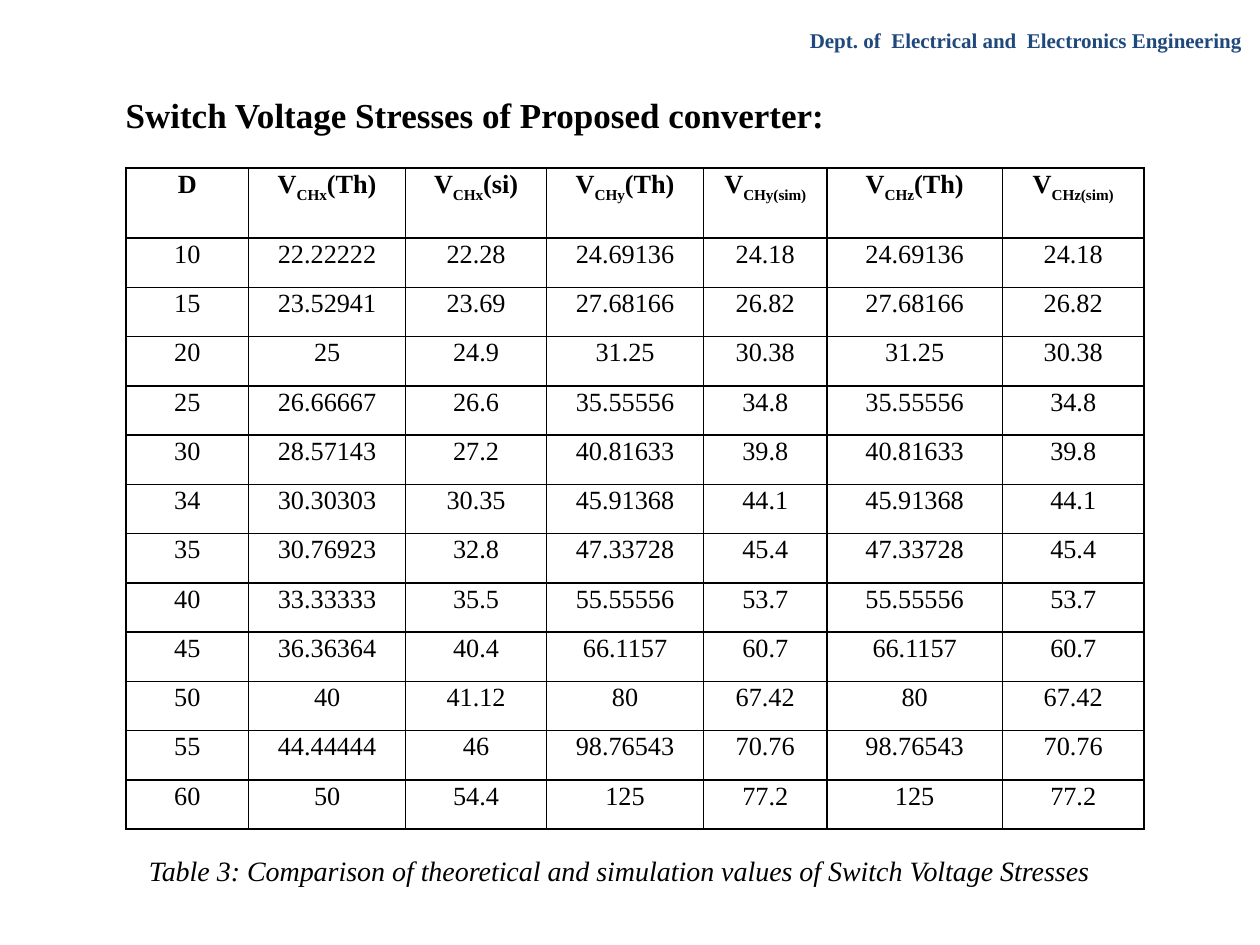
from dataclasses import dataclass

from lxml.etree import fromstring
from pptx import Presentation
from pptx.dml.color import RGBColor
from pptx.enum.text import MSO_ANCHOR, MSO_AUTO_SIZE, PP_ALIGN
from pptx.oxml.ns import nsdecls
from pptx.util import Pt

FONT = "Times New Roman"
BLACK = "000000"
NAVY = "1F497D"


@dataclass(frozen=True)
class Box:
    left: float
    top: float
    width: float
    height: float

    def lengths(self) -> tuple:
        return Pt(self.left), Pt(self.top), Pt(self.width), Pt(self.height)


@dataclass(frozen=True)
class Heading:
    base: str
    sub: str = ""
    tail: str = ""


HEADINGS = [
    Heading("D"),
    Heading("V", "CHx", "(Th)"),
    Heading("V", "CHx", "(si)"),
    Heading("V", "CHy", "(Th)"),
    Heading("V", "CHy(sim)"),
    Heading("V", "CHz", "(Th)"),
    Heading("V", "CHz(sim)"),
]
STRESSES = [
    ("10", "22.22222", "22.28", "24.69136", "24.18"),
    ("15", "23.52941", "23.69", "27.68166", "26.82"),
    ("20", "25", "24.9", "31.25", "30.38"),
    ("25", "26.66667", "26.6", "35.55556", "34.8"),
    ("30", "28.57143", "27.2", "40.81633", "39.8"),
    ("34", "30.30303", "30.35", "45.91368", "44.1"),
    ("35", "30.76923", "32.8", "47.33728", "45.4"),
    ("40", "33.33333", "35.5", "55.55556", "53.7"),
    ("45", "36.36364", "40.4", "66.1157", "60.7"),
    ("50", "40", "41.12", "80", "67.42"),
    ("55", "44.44444", "46", "98.76543", "70.76"),
    ("60", "50", "54.4", "125", "77.2"),
]
COL_WIDTHS = [70.1, 89.7, 80.6, 89.7, 70.5, 100.3, 80.9]
HEADER_HEIGHT = 40
ROW_HEIGHT = 28.15


def rgb(color: str) -> RGBColor:
    return RGBColor.from_string(color)


def add_text(p, text: str, *, size: float, color: str = BLACK, bold: bool = False,
             italic: bool = False, sub: bool = False, align=PP_ALIGN.LEFT) -> None:
    p.alignment = align
    r = p.add_run()
    r.text = text
    r.font.name = FONT
    r.font.size = Pt(size)
    r.font.bold = bold
    r.font.italic = italic
    r.font.color.rgb = rgb(color)
    if sub:
        r.font._element.set("baseline", "-25000")


def add_label(s, box: Box, text: str, **style) -> None:
    tf = s.shapes.add_textbox(*box.lengths()).text_frame
    tf.word_wrap = True
    tf.auto_size = MSO_AUTO_SIZE.SHAPE_TO_FIT_TEXT
    add_text(tf.paragraphs[0], text, **style)


def set_borders(cell, width: float = 1, color: str = BLACK) -> None:
    tc_pr = cell._tc.get_or_add_tcPr()
    for i, side in enumerate("LRTB"):
        tc_pr.insert(i, fromstring(
            f'<a:ln{side} {nsdecls("a")} w="{Pt(width)}"><a:solidFill>'
            f'<a:srgbClr val="{color}"/></a:solidFill></a:ln{side}>'))


def fill_cell(cell, heading: Heading, bold: bool) -> None:
    cell.margin_left = cell.margin_right = Pt(5)
    cell.margin_top = cell.margin_bottom = Pt(0)
    cell.fill.background()
    set_borders(cell)
    p = cell.text_frame.paragraphs[0]
    p.line_spacing = 1.07
    p.space_after = Pt(8)
    parts = [(heading.base, False), (heading.sub, True), (heading.tail, False)]
    for text, sub in parts:
        if text:
            add_text(p, text, size=15, bold=bold, sub=sub, align=PP_ALIGN.CENTER)


def add_stress_table(s, left: float, top: float) -> None:
    rows = [HEADINGS]
    rows += [[Heading(v) for v in (*row, *row[-2:])] for row in STRESSES]
    heights = [HEADER_HEIGHT] + [ROW_HEIGHT] * len(STRESSES)
    box = Box(left, top, sum(COL_WIDTHS), sum(heights))
    table = s.shapes.add_table(len(rows), len(COL_WIDTHS), *box.lengths()).table
    table.first_row = table.horz_banding = False
    for col, width in zip(table.columns, COL_WIDTHS):
        col.width = Pt(width)
    for i, (row, height) in enumerate(zip(rows, heights)):
        table.rows[i].height = Pt(height)
        for j, value in enumerate(row):
            fill_cell(table.cell(i, j), value, bold=i == 0)


def set_title(s, box: Box, text: str) -> None:
    sp = s.shapes.title
    sp.left, sp.top, sp.width, sp.height = box.lengths()
    tf = sp.text_frame
    tf.word_wrap = True
    tf.auto_size = MSO_AUTO_SIZE.NONE
    tf.vertical_anchor = MSO_ANCHOR.MIDDLE
    add_text(tf.paragraphs[0], text, size=20, bold=True, align=PP_ALIGN.CENTER)


def main() -> None:
    prs = Presentation()
    prs.slide_width, prs.slide_height = Pt(720), Pt(540)
    s = prs.slides.add_slide(prs.slide_layouts[5])
    add_label(s, Box(455.7, 12.2, 264.3, 21.8),
              "Dept. of  Electrical and  Electronics Engineering",
              size=12, color=NAVY, bold=True)
    set_title(s, Box(30, 45.5, 483, 40), "Switch Voltage Stresses of Proposed converter:")
    add_stress_table(s, 72, 96)
    add_label(s, Box(78, 484, 576, 26.6),
              "Table 3: Comparison of theoretical and simulation values of Switch Voltage Stresses",
              size=16, italic=True)
    prs.save("out.pptx")


if __name__ == "__main__":
    main()
